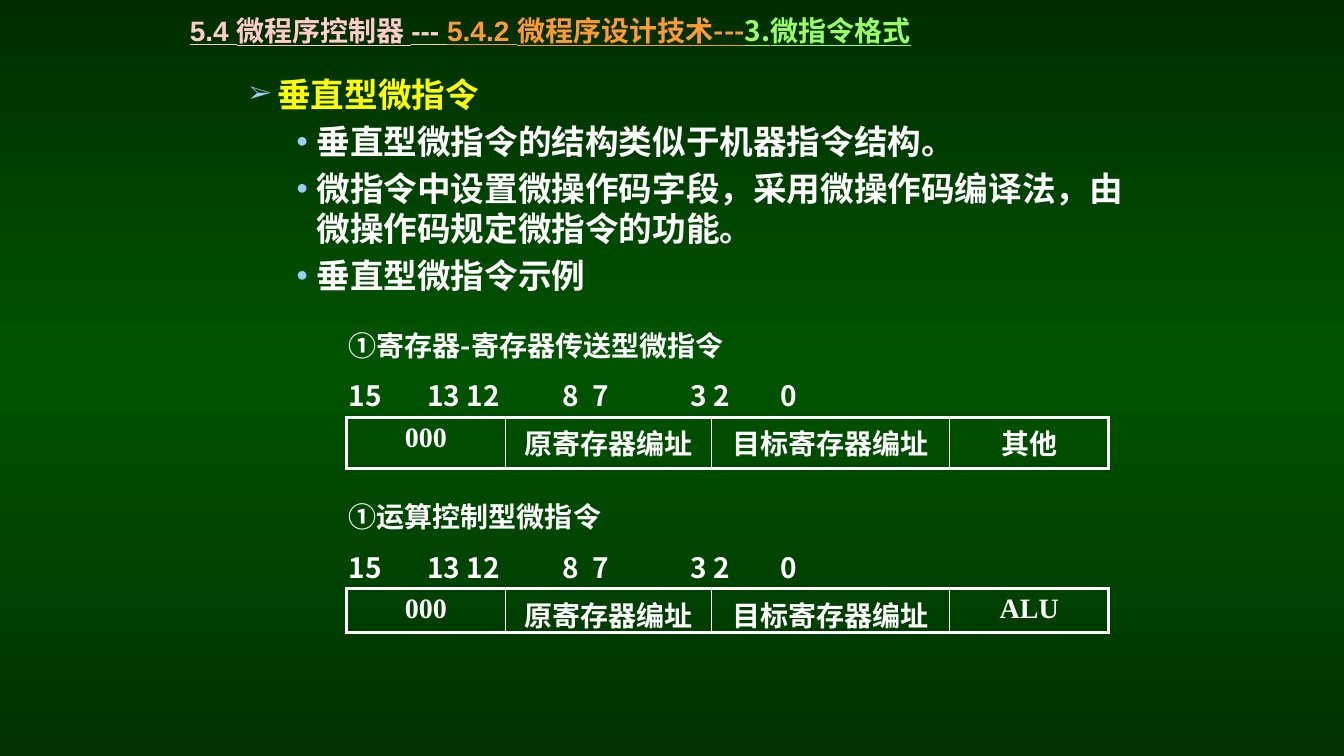
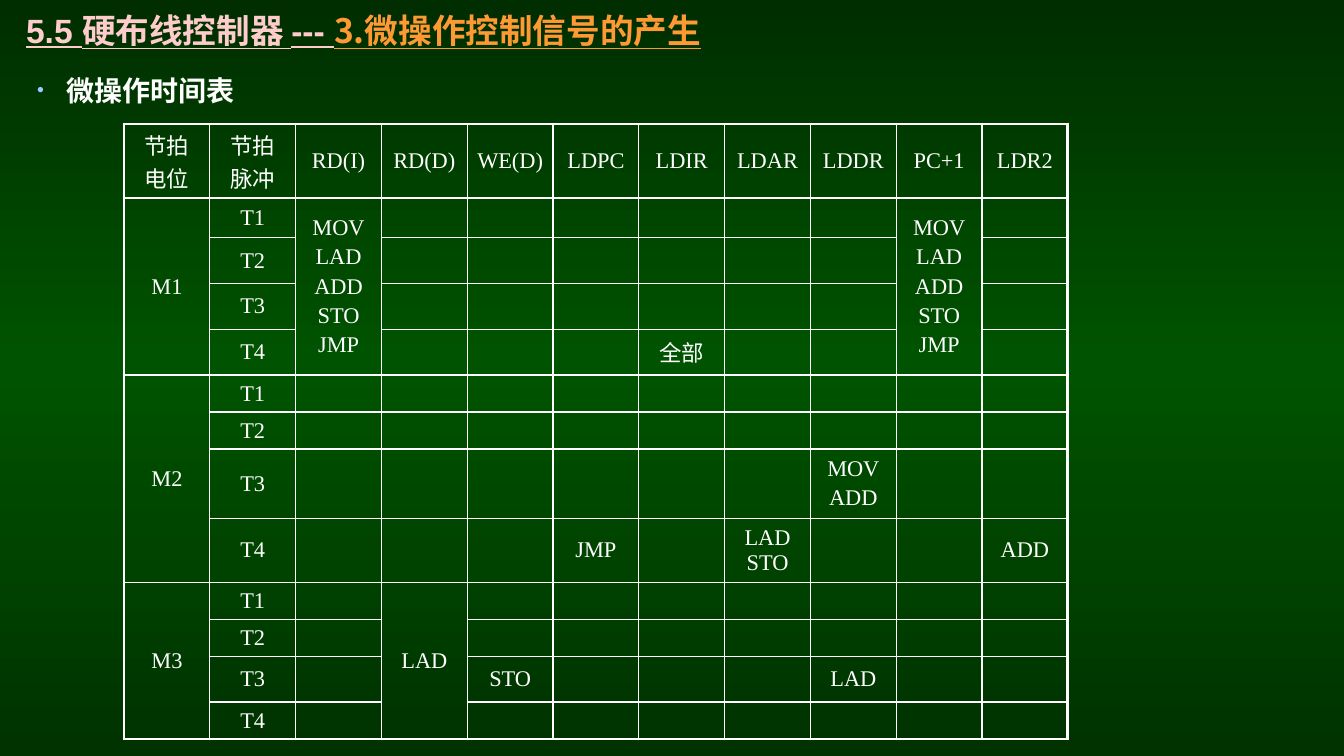
"""Build two slides on microinstruction formats and control signal timing."""
from copy import deepcopy

from lxml import etree
from pptx import Presentation
from pptx.dml.color import RGBColor
from pptx.enum import text
from pptx.oxml.ns import qn
from pptx.util import Pt

COLORS = {"top": "002E00", "middle": "005300", "bottom": "003300", "white": "FFFFFF",
          "pink": "FFCCCC", "orange": "FF9933", "lime": "99FF66", "yellow": "FFFF00",
          "bullet": "99CCFF"}
CJK, SANS, SERIF = "Noto Sans CJK SC", "Arial", "Times New Roman"
BACKGROUND = [(0, "top"), (0.48, "middle"), (1, "bottom")]

FORMAT_TITLE = [("5.4 微程序控制器 --- ", "pink", SANS), ("5.4.2 微程序设计技术", "orange", SANS),
                ("---", "orange", CJK), ("3.微指令格式", "lime", CJK)]
SIGNAL_TITLE = [("5.5 硬布线控制器 --- ", "pink", SANS), ("3.", "orange", CJK),
                ("微操作控制信号的产生", "orange", SANS)]

HEADING = {"size": 24, "color": "yellow", "bullet": ("➢", 72), "indent": (57, -20)}
POINT = {"size": 24, "color": "white", "bullet": ("●", 60), "indent": (85, -14.5)}
TOPIC = {"size": 20, "color": "white", "bullet": ("•", 80), "indent": (21.5, -21.5)}
FORMAT_POINTS = [
    ("垂直型微指令", HEADING),
    ("垂直型微指令的结构类似于机器指令结构。", POINT),
    ("微指令中设置微操作码字段，采用微操作码编译法，由微操作码规定微指令的功能。", POINT),
    ("垂直型微指令示例", POINT),
]
SIGNAL_POINTS = [("微操作时间表", TOPIC)]

BIT_NUMBERS = ["15", "13 12", "8", "7", "3 2", "0"]
BIT_TABS = [56, 153, 174, 244.5, 308.5]
FIELD_WIDTHS = [113.5, 147.5, 170, 113.5]
EXAMPLES = [
    ("①寄存器-寄存器传送型微指令", ["000", "原寄存器编址", "目标寄存器编址", "其他"], 298, 36.5),
    ("①运算控制型微指令", ["000", "原寄存器编址", "目标寄存器编址", "ALU"], 420.5, 31.5),
]

SIGNALS = ["节拍电位", "节拍脉冲", "RD(I)", "RD(D)", "WE(D)", "LDPC", "LDIR", "LDAR",
           "LDDR", "PC+1", "LDR2"]
PHASES, PULSES = ["M1", "M2", "M3"], ["T1", "T2", "T3", "T4"]
FETCH = "MOV\nLAD\nADD\nSTO\nJMP"
ENTRIES = {("M1", "T1", "RD(I)"): FETCH, ("M1", "T1", "PC+1"): FETCH,
           ("M1", "T4", "LDIR"): "全部", ("M2", "T3", "LDDR"): "MOV\nADD",
           ("M2", "T4", "LDPC"): "JMP", ("M2", "T4", "LDAR"): "LAD STO",
           ("M2", "T4", "LDR2"): "ADD", ("M3", "T1", "RD(D)"): "LAD",
           ("M3", "T3", "WE(D)"): "STO", ("M3", "T3", "LDDR"): "LAD"}
WHOLE_PHASE = [("M1", "RD(I)"), ("M1", "PC+1"), ("M3", "RD(D)")]
SIGNAL_WIDTH = 61.3
ROW_HEIGHTS = [53, 28.3, 32.7, 32.7, 32.7, 26.4, 26.4, 49.7, 45.2, 26.3, 26.3, 32.7, 26.3]


def color(name):
    return RGBColor.from_string(COLORS[name])


def add_node(parent, tag, **values):
    node = etree.SubElement(parent, qn(tag))
    for key, value in values.items():
        node.set(key, str(value))
    return node


def add_span(para, words, size, shade="white", face=SERIF, bold=True, underline=False):
    span = para.add_run()
    span.text = words
    formats = {"size": Pt(size), "name": face, "bold": bold, "underline": underline}
    for key, value in formats.items():
        setattr(span.font, key, value)
    span.font.color.rgb = color(shade)
    add_node(span.font._element, "a:ea", typeface=CJK)


def next_para(frame):
    first = frame.paragraphs[0]
    return frame.add_paragraph() if first.runs else first


def add_box(page, left, top, width, height, anchor=text.MSO_ANCHOR.TOP):
    frame = page.shapes.add_textbox(Pt(left), Pt(top), Pt(width), Pt(height)).text_frame
    frame.word_wrap = True
    frame.vertical_anchor = anchor
    return frame


def add_title(page, spans, size, left, top, width, height):
    frame = add_box(page, left, top, width, height, text.MSO_ANCHOR.MIDDLE)
    for words, shade, face in spans:
        add_span(frame.paragraphs[0], words, size, shade, face, underline=True)


def add_points(page, points, left, width):
    frame = add_box(page, left, 49, width, 476)
    for words, style in points:
        para = next_para(frame)
        para.space_before = Pt(style["size"] * 0.2)
        props = para._p.get_or_add_pPr()
        for key, value in zip(("marL", "indent"), style["indent"]):
            props.set(key, str(int(Pt(value))))
        mark, percent = style["bullet"]
        add_node(add_node(props, "a:buClr"), "a:srgbClr", val=COLORS["bullet"])
        add_node(props, "a:buSzPct", val=percent * 1000)
        add_node(props, "a:buFont", typeface=SERIF)
        add_node(props, "a:buChar", char=mark)
        add_span(para, words, style["size"], style["color"])


def add_example_label(page, caption, top):
    frame = add_box(page, 242, top - 79, 551, 79)
    for words in (caption, "\t".join(BIT_NUMBERS)):
        para = next_para(frame)
        para.line_spacing = 1.5
        add_span(para, words, 20, face=CJK)
    stops = add_node(para._p.get_or_add_pPr(), "a:tabLst")
    for stop in BIT_TABS:
        add_node(stops, "a:tab", pos=int(Pt(stop)), algn="l")


def fill_cell(cell, words, size, bold, anchor):
    margins = {"margin_left": 7, "margin_right": 7, "margin_top": 3.6, "margin_bottom": 0}
    if anchor == text.MSO_ANCHOR.MIDDLE:
        margins["margin_bottom"] = 3.6
    for key, value in margins.items():
        setattr(cell, key, Pt(value))
    cell.vertical_anchor = anchor
    if not words:
        add_node(cell.text_frame.paragraphs[0]._p, "a:endParaRPr", sz=1200)
        return
    for index, line in enumerate(words.split("\n")):
        para = next_para(cell.text_frame)
        para.alignment = text.PP_ALIGN.CENTER
        para.space_before = Pt(size * 0.2 if index else 0)
        add_span(para, line, size, bold=bold)


def draw_borders(cell, outer):
    props = cell._tc.get_or_add_tcPr()
    for side, is_outer in outer.items():
        line = add_node(props, "a:ln" + side, w=int(Pt(2.25 if is_outer else 1)))
        add_node(add_node(line, "a:solidFill"), "a:srgbClr", val=COLORS["white"])
    add_node(props, "a:noFill")


def add_grid(page, rows, left, top, widths, heights, size, bold, anchor, merges=()):
    frame = page.shapes.add_table(len(rows), len(widths), Pt(left), Pt(top),
                                  Pt(sum(widths)), Pt(sum(heights)))
    table = frame.table
    table.first_row = table.horz_banding = False
    for column, width in zip(table.columns, widths):
        column.width = Pt(width)
    for row, height in zip(table.rows, heights):
        row.height = Pt(height)
    for start, end, column in merges:
        table.cell(start, column).merge(table.cell(end, column))
    for r, row in enumerate(rows):
        for c, words in enumerate(row):
            cell = table.cell(r, c)
            fill_cell(cell, words, size, bold, anchor)
            span = cell.span_height if cell.is_merge_origin else 1
            if not cell.is_spanned:
                draw_borders(cell, {"L": c == 0, "R": c == len(row) - 1, "T": r == 0,
                                    "B": r + span == len(rows)})


def paint_background(master):
    fill = master.background.fill
    fill.gradient()
    fill.gradient_angle = 270
    stops = next(master.element.iter(qn("a:gsLst")))
    stops.append(deepcopy(stops[0]))
    for stop, (position, name) in zip(fill.gradient_stops, BACKGROUND):
        stop.position = position
        stop.color.rgb = color(name)


def build_format_page(page):
    add_title(page, FORMAT_TITLE, 20, 128.5, 5.5, 698, 32)
    add_points(page, FORMAT_POINTS, 134, 686)
    for caption, fields, top, height in EXAMPLES:
        add_example_label(page, caption, top)
        add_grid(page, [fields], 247.5, top, FIELD_WIDTHS, [height], 20, True,
                 text.MSO_ANCHOR.TOP)


def build_signal_page(page):
    add_title(page, SIGNAL_TITLE, 24, 11.5, 3, 929.5, 37)
    add_points(page, SIGNAL_POINTS, 19, 453)
    rows, merges = [SIGNALS], []
    for phase in PHASES:
        start = len(rows)
        whole = [0] + [SIGNALS.index(name) for owner, name in WHOLE_PHASE if owner == phase]
        merges += [(start, start + len(PULSES) - 1, column) for column in whole]
        for pulse in PULSES:
            label = phase if pulse == PULSES[0] else ""
            rows.append([label, pulse] + [ENTRIES.get((phase, pulse, name), "")
                                          for name in SIGNALS[2:]])
    add_grid(page, rows, 88.6, 88.5, [SIGNAL_WIDTH] * len(SIGNALS), ROW_HEIGHTS, 16, False,
             text.MSO_ANCHOR.MIDDLE, merges)


def main():
    deck = Presentation()
    deck.slide_width, deck.slide_height = Pt(960), Pt(540)
    paint_background(deck.slide_master)
    for build in (build_format_page, build_signal_page):
        build(deck.slides.add_slide(deck.slide_layouts[6]))
    deck.save("out.pptx")


if __name__ == "__main__":
    main()
